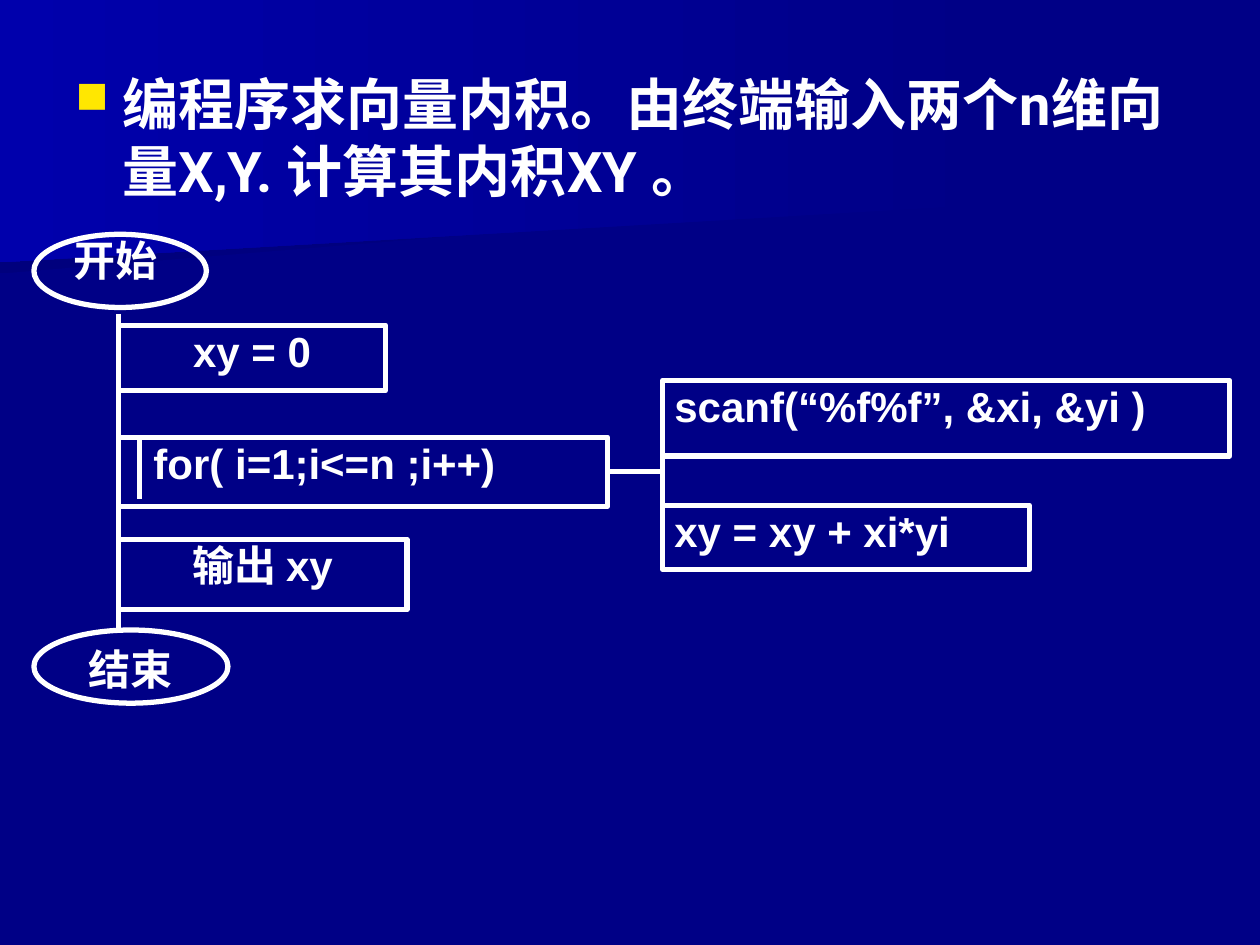
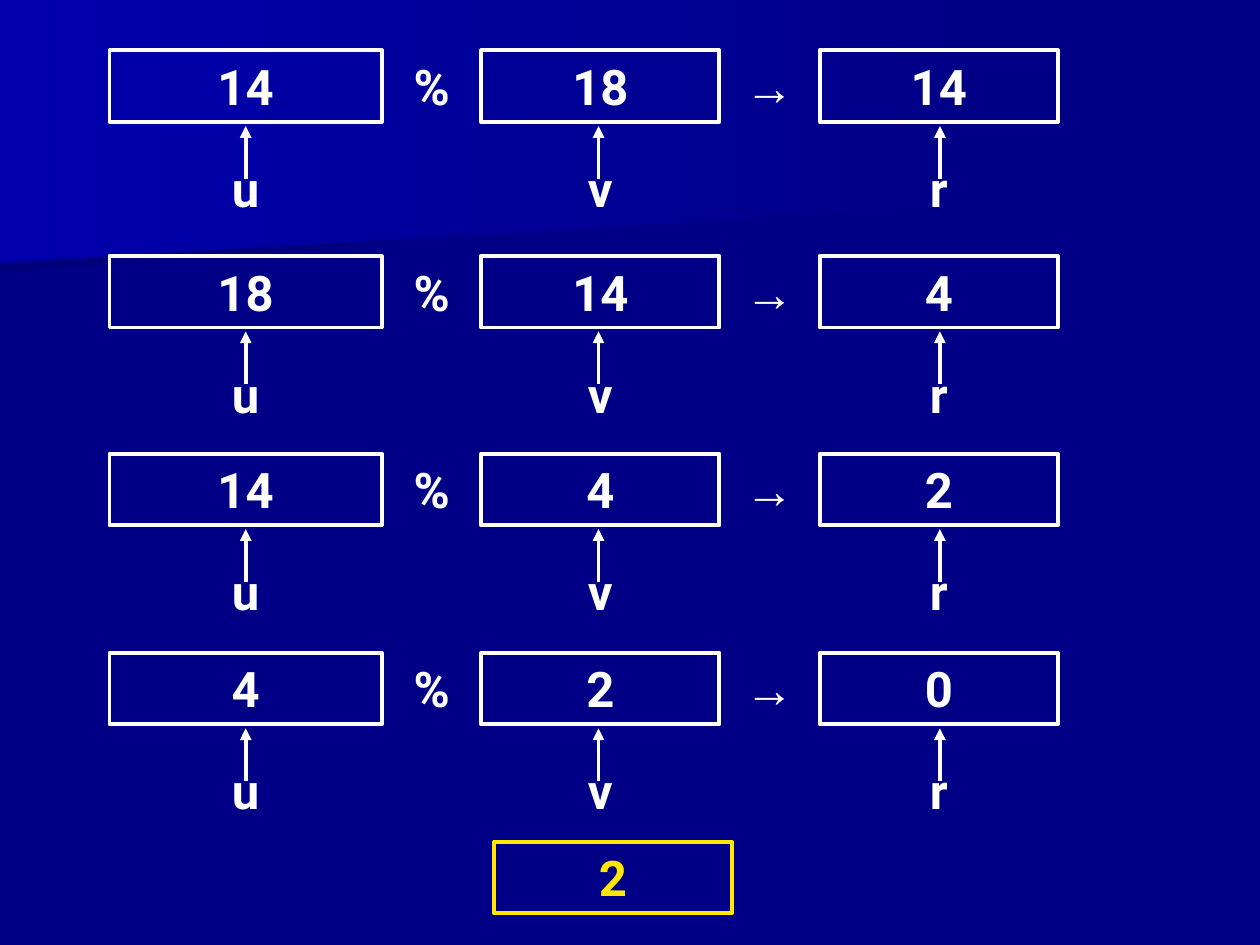
import lxml.etree
import pptx
import pptx.dml.color
import pptx.enum.shapes
import pptx.enum.text
import pptx.oxml.ns
import pptx.util

Pt = pptx.util.Pt
qn = pptx.oxml.ns.qn
SubElement = lxml.etree.SubElement
SHAPE = pptx.enum.shapes.MSO_SHAPE
ALIGN = pptx.enum.text.PP_ALIGN

NAVY = pptx.dml.color.RGBColor(0x00, 0x00, 0x86)
DARK_NAVY = pptx.dml.color.RGBColor(0x00, 0x00, 0x7D)
BLUE = pptx.dml.color.RGBColor(0x00, 0x00, 0xAC)
WHITE = pptx.dml.color.RGBColor(0xFF, 0xFF, 0xFF)
YELLOW = pptx.dml.color.RGBColor(0xFF, 0xE7, 0x01)

TITLE = {"name": "Roboto", "size": Pt(32), "bold": True}
FLOW = {"name": "Arial", "size": Pt(24), "bold": True}
VALUE = {"name": "Roboto", "size": Pt(28), "bold": True}
ARROW = {"name": "Arial", "size": Pt(28), "bold": True}


def add_box(slide, kind, place, text="", font=VALUE, align=ALIGN.CENTER,
            insets=(7.2, 3.6), color=WHITE, width=2.25):
    """Add an outlined shape, or a text box when kind is None."""
    place = [Pt(value) for value in place]
    if kind is None:
        shape = slide.shapes.add_textbox(*place)
    else:
        shape = slide.shapes.add_shape(kind, *place)
        shape.shadow.inherit = False
        shape.fill.background()
        shape.line.color.rgb = color
        shape.line.width = Pt(width)
    if text:
        frame = shape.text_frame
        frame.word_wrap = True
        frame.vertical_anchor = pptx.enum.text.MSO_ANCHOR.TOP
        frame.margin_left = frame.margin_right = Pt(insets[0])
        frame.margin_top = frame.margin_bottom = Pt(insets[1])
        paragraph = frame.paragraphs[0]
        paragraph.alignment = align
        run = paragraph.add_run()
        run.text = text
        for name, value in font.items():
            setattr(run.font, name, value)
        run.font.color.rgb = color
    return shape


def add_line(slide, start, end, width, arrow=False):
    """Add a white straight line, with an arrowhead at its end if asked."""
    line = slide.shapes.add_connector(
        pptx.enum.shapes.MSO_CONNECTOR.STRAIGHT,
        *[Pt(value) for value in (*start, *end)])
    line.line.color.rgb = WHITE
    line.line.width = Pt(width)
    properties = line._element.spPr
    if arrow:
        SubElement(properties.find(qn("a:ln")), qn("a:tailEnd"), type="triangle")
    SubElement(properties, qn("a:effectLst"))


presentation = pptx.Presentation()
presentation.slide_width, presentation.slide_height = Pt(720), Pt(540)
blank_layout = presentation.slide_layouts[6]

# Shared background: navy with two gradient bands at the top left
bands = [
    ([(560.2, 110.2), (0, 156.2), (0, 72.7), (560.9, 72.7), (560.2, 92.2)], DARK_NAVY),
    ([(570.2, 116.6), (0, 149.8), (0, 0), (570.2, 0)], BLUE),
]
for _ in range(2):
    slide = presentation.slides.add_slide(blank_layout)
    slide.background.fill.solid()
    slide.background.fill.fore_color.rgb = NAVY
    for outline, left_color in bands:
        corners = [(Pt(x), Pt(y)) for x, y in outline]
        builder = slide.shapes.build_freeform(*corners[0])
        builder.add_line_segments(corners[1:], close=True)
        band = builder.convert_to_shape()
        band.shadow.inherit = False
        band.line.fill.background()
        band.fill.gradient()
        band.fill.gradient_angle = 180
        for stop, color in zip(band.fill.gradient_stops, (NAVY, left_color)):
            stop.color.rgb = color
flow_slide, remainder_slide = presentation.slides

# Slide 1: task with a square bullet
task = add_box(flow_slide, None, (36, 36, 648, 99.4),
               "编程序求向量内积。由终端输入两个n维向量X,Y. 计算其内积XY 。",
               TITLE, ALIGN.LEFT)
properties = task.text_frame.paragraphs[0]._p.get_or_add_pPr()
properties.set("marL", str(Pt(27)))
properties.set("indent", str(-Pt(27)))
bullet_color = SubElement(properties, qn("a:buClr"))
SubElement(bullet_color, qn("a:srgbClr"), val=str(YELLOW))
SubElement(properties, qn("a:buSzPct"), val="80000")
SubElement(properties, qn("a:buChar"), char="■")

# Slide 1: flowchart lines
trunk, branch = 67.7, 378.7
for start, end in [
    ((trunk, 179.3), (trunk, 360)),
    ((79.9, 249.8), (79.9, 285.1)),
    ((347, 269.3), (branch, 269.3)),
    ((branch, 217.4), (branch, 321.1)),
]:
    add_line(flow_slide, start, end, 3)

# Slide 1: flowchart steps, with place, text, alignment and side inset
for place, text, align, inset in [
    ((trunk, 185.8, 152.6, 37.4), "xy = 0", ALIGN.CENTER, 0),
    ((trunk, 249.8, 279.4, 39.6), "for( i=1;i<=n ;i++)", ALIGN.LEFT, 20),
    ((trunk, 308.2, 164.9, 40.3), "输出 xy", ALIGN.CENTER, 0),
    ((branch, 217.4, 324, 43.2), "scanf(“%f%f”, &xi, &yi )", ALIGN.LEFT, 6.67),
    ((branch, 288.7, 209.5, 36.7), "xy = xy + xi*yi", ALIGN.LEFT, 6.67),
]:
    add_box(flow_slide, SHAPE.RECTANGLE, place, text, FLOW, align, (inset, 0), width=3)

# Slide 1: start and end ovals with their labels
for oval, label, text, align in [
    ((19.4, 133.9, 98.6, 41.8), (41.8, 133.9, 64.8, 38.2), "开始", ALIGN.LEFT),
    ((19.4, 360, 110.9, 41.8), (19.4, 367.9, 110.9, 43.2), "结束", ALIGN.CENTER),
]:
    add_box(flow_slide, SHAPE.OVAL, oval, width=3)
    add_box(flow_slide, None, label, text, FLOW, align, (0, 0))

# Slide 2: one row for each division step, u % v → r
box_height = 41
columns = [("u", 62.6, 155.5, 140.4), ("v", 275, 136.1, 342), ("r", 468.4, 136.1, 537.1)]
operators = [("%", 218.2, VALUE), ("→", 411.1, ARROW)]
steps = [(28.8, (14, 18, 14)), (146.2, (18, 14, 4)),
         (259.2, (14, 4, 2)), (373, (4, 2, 0))]
for top, numbers in steps:
    for (name, left, width, middle), number in zip(columns, numbers):
        add_box(remainder_slide, SHAPE.RECTANGLE, (left, top, width, box_height), str(number))
        add_box(remainder_slide, None, (left, top + 58.3, width, box_height), name)
        add_line(remainder_slide, (middle, top + 73.4), (middle, top + 43.2), 2.25, arrow=True)
    for symbol, left, font in operators:
        add_box(remainder_slide, None, (left, top, 56.9, box_height), symbol, font)

# Slide 2: result
add_box(remainder_slide, SHAPE.RECTANGLE, (282.2, 481, 136.1, box_height), "2", color=YELLOW)

presentation.save("out.pptx")
